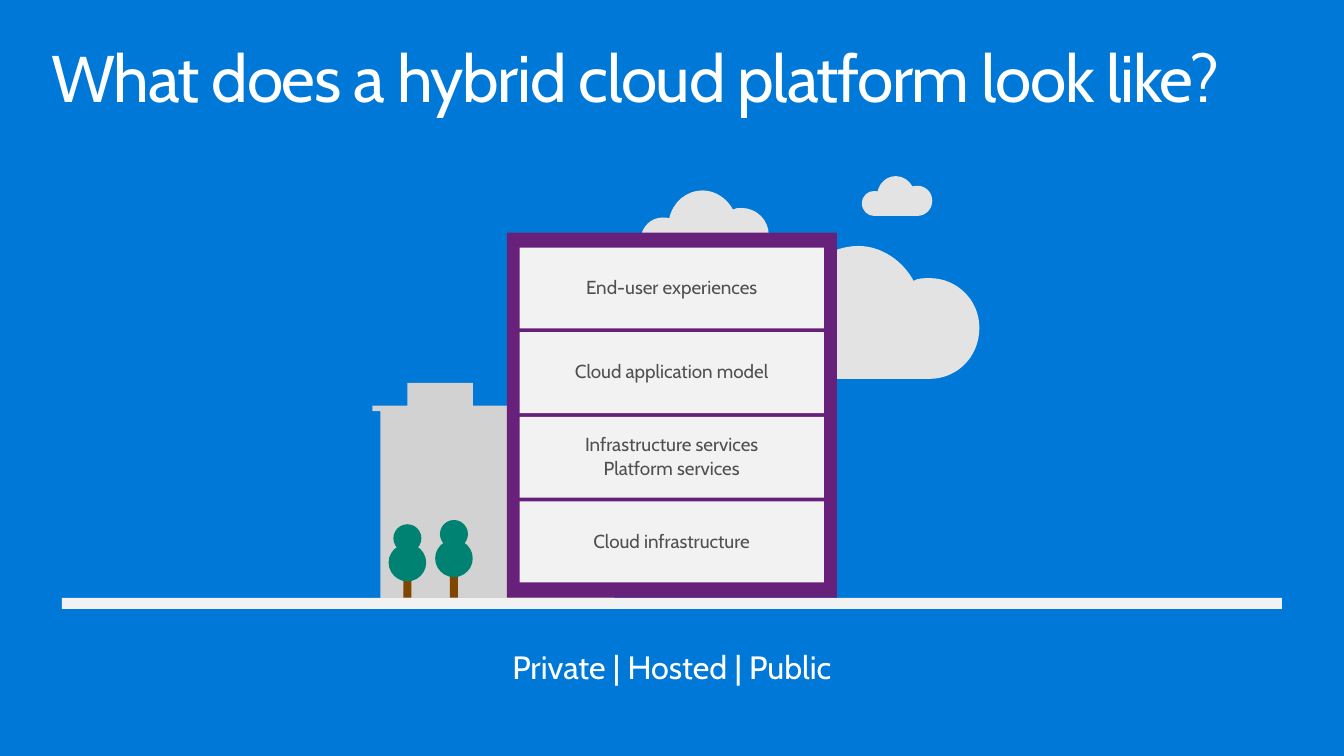
"""Build a slide that shows a hybrid cloud platform as a stacked building."""
from lxml import etree
from pptx import Presentation
from pptx.dml.color import RGBColor
from pptx.enum.shapes import MSO_SHAPE
from pptx.enum.text import MSO_ANCHOR, PP_ALIGN
from pptx.oxml.ns import qn
from pptx.util import Cm, Pt

RECTANGLE, OVAL = MSO_SHAPE.RECTANGLE, MSO_SHAPE.OVAL
TOP, MIDDLE = MSO_ANCHOR.TOP, MSO_ANCHOR.MIDDLE
LEFT, CENTER = PP_ALIGN.LEFT, PP_ALIGN.CENTER
COLORS = {
    "sky": "0078D7", "white": "FFFFFF", "panel": "F2F2F2", "cloud": "E3E3E3",
    "office": "D2D2D2", "trunk": "804600", "leaves": "008272",
    "frame": "68217A", "label": "505050",
}


def paint(shape, color):
    shape.shadow.inherit = False
    shape.fill.solid()
    shape.fill.fore_color.rgb = RGBColor.from_string(COLORS[color])
    shape.line.fill.background()


def write(box, lines, size, color, frame_format, paragraph_format):
    frame = box.text_frame
    for name, value in frame_format.items():
        setattr(frame, name, value)
    for index, line in enumerate(lines):
        para = frame.add_paragraph() if index else frame.paragraphs[0]
        for name, value in paragraph_format.items():
            setattr(para, name, value)
        span = para.add_run()
        span.text = line
        for name, value in {"name": "Cabin", "size": Pt(size)}.items():
            setattr(span.font, name, value)
        span.font.color.rgb = RGBColor.from_string(COLORS[color])


deck = Presentation()
deck.slide_width, deck.slide_height = Cm(25.4), Cm(14.29)
page = deck.slides.add_slide(deck.slide_layouts[6])
page.background.fill.solid()
page.background.fill.fore_color.rgb = RGBColor.from_string(COLORS["sky"])

title = page.shapes.add_textbox(Cm(0.56), Cm(0.61), Cm(24.28), Cm(1.88))
write(title, ["What does a hybrid cloud platform look like?"], 35.3, "white",
      {"word_wrap": True, "vertical_anchor": TOP,
       "margin_left": Cm(0.41), "margin_right": Cm(0.41),
       "margin_top": Cm(0.25), "margin_bottom": Cm(0.25)},
      {"alignment": LEFT, "line_spacing": 0.9})
title.text_frame.paragraphs[0].runs[0].font._element.set("spc", "-75")

caption = page.shapes.add_textbox(Cm(9.2), Cm(11.79), Cm(7), Cm(1.7))
write(caption, ["Private | Hosted | Public"], 17.3, "white",
      {"word_wrap": False, "vertical_anchor": MIDDLE,
       "margin_left": Cm(0.36), "margin_right": Cm(0.36),
       "margin_top": Cm(0.3), "margin_bottom": Cm(0.3)},
      {"alignment": CENTER, "line_spacing": 0.9})

ground_top = 11.3
ground = page.shapes.add_shape(RECTANGLE, Cm(1.17), Cm(ground_top), Cm(23.06), Cm(0.21))
paint(ground, "panel")

cloud_units = 175
cloud_outline = [
    (138, 24),
    (134, 24), (129, 24), (126, 26),
    (118, 11), (102, 0), (85, 0),
    (62, 0), (44, 16), (39, 38),
    (36, 37), (33, 37), (30, 37),
    (14, 37), (0, 50), (0, 68),
    (0, 86), (14, 99), (30, 99),
    (66, 99), (102, 99), (138, 99),
    (158, 99), (175, 83), (175, 61),
    (175, 40), (158, 24), (138, 24),
]
for left, top, width in [(14.07, 4.65, 4.44), (12.11, 3.6, 2.42), (16.29, 3.33, 1.33)]:
    scale = width / cloud_units
    points = [(Cm(left + x * scale), Cm(top + y * scale)) for x, y in cloud_outline]
    builder = page.shapes.build_freeform(*points[0])
    builder.add_line_segments(points[1:], close=False)
    cloud = builder.convert_to_shape()
    segments = list(cloud._element.iter(qn("a:lnTo")))
    for first in range(0, len(segments), 3):
        curve = etree.Element(qn("a:cubicBezTo"))
        segments[first].addprevious(curve)
        for segment in segments[first:first + 3]:
            curve.append(segment[0])
            segment.getparent().remove(segment)
    paint(cloud, "cloud")

office_points = [(Cm(x), Cm(y)) for x, y in [
    (8.94, 7.67), (8.94, 7.24), (7.7, 7.24), (7.7, 7.67), (7.04, 7.67), (7.04, 7.77),
    (7.19, 7.77), (7.19, ground_top), (11.61, ground_top), (11.61, 7.77),
    (11.79, 7.77), (11.79, 7.67)]]
builder = page.shapes.build_freeform(*office_points[0])
builder.add_line_segments(office_points[1:])
paint(builder.convert_to_shape(), "office")

trunk_height = 0.56
for center, crown_top in [(7.7, 9.91), (8.58, 9.83)]:
    for kind, color, top, width, height in [
            (RECTANGLE, "trunk", ground_top - trunk_height, 0.15, trunk_height),
            (OVAL, "leaves", crown_top + 0.37, 0.71, 0.71),
            (OVAL, "leaves", crown_top, 0.53, 0.53)]:
        part = page.shapes.add_shape(
            kind, Cm(center - width / 2), Cm(top), Cm(width), Cm(height))
        paint(part, color)

stack = page.shapes.add_group_shape()
tower = stack.shapes.add_shape(RECTANGLE, Cm(9.58), Cm(4.4), Cm(6.24), Cm(6.9))
paint(tower, "frame")
floors = [
    ["End-user experiences"],
    ["Cloud application model"],
    ["Infrastructure services", "Platform services"],
    ["Cloud infrastructure"],
]
for index, lines in enumerate(floors):
    floor = stack.shapes.add_shape(
        RECTANGLE, Cm(9.82), Cm(4.68 + index * 1.6), Cm(5.75), Cm(1.53))
    paint(floor, "panel")
    write(floor, lines, 10.1, "label",
          {"word_wrap": True, "vertical_anchor": MIDDLE,
           "margin_left": 0, "margin_right": 0,
           "margin_top": Cm(0.3), "margin_bottom": Cm(0.3)},
          {"alignment": CENTER, "line_spacing": 0.9, "space_after": Pt(2.2)})

deck.save("out.pptx")
